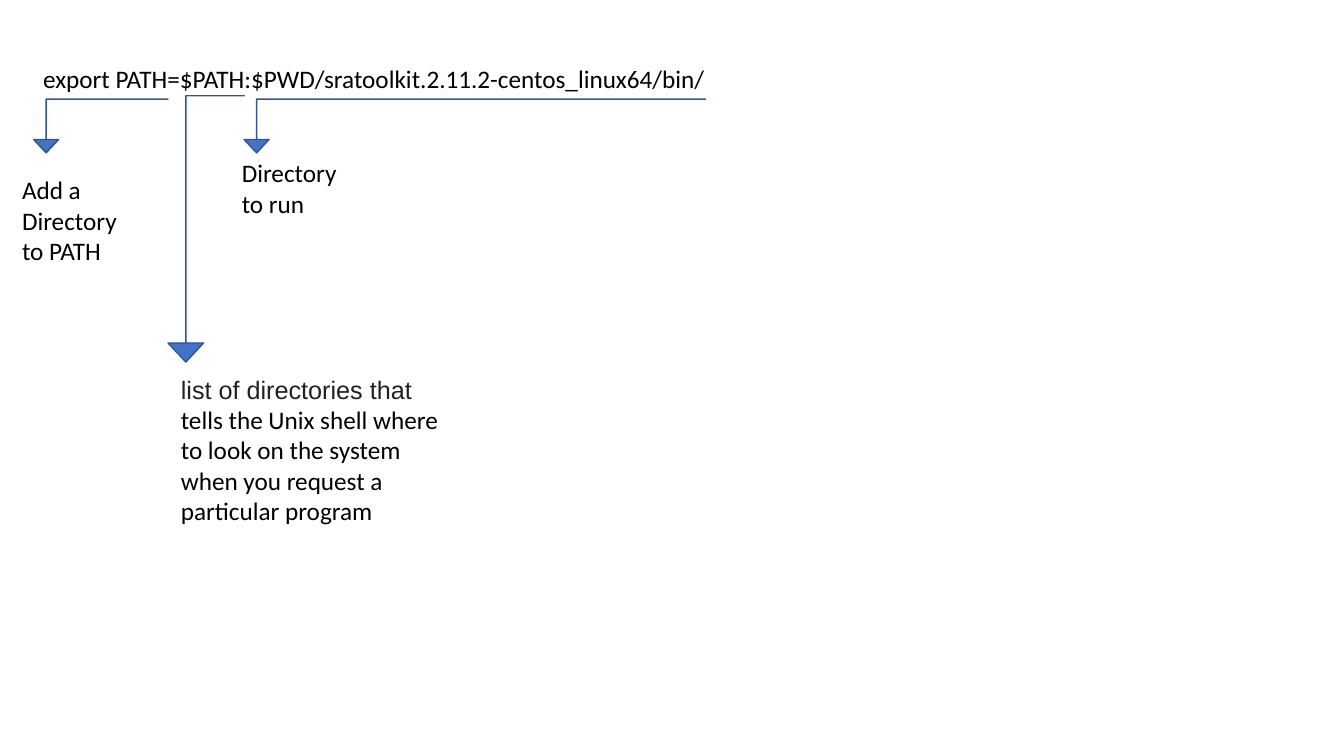
"""Build a slide that explains the parts of a PATH export command."""
import pptx
import pptx.dml.color
import pptx.enum.shapes
import pptx.enum.text
import pptx.util

BLACK = pptx.dml.color.RGBColor(0x00, 0x00, 0x00)
CHARCOAL = pptx.dml.color.RGBColor(0x20, 0x21, 0x24)
BLUE = pptx.dml.color.RGBColor(0x44, 0x72, 0xC4)
DARK_BLUE = pptx.dml.color.RGBColor(0x32, 0x54, 0x91)

presentation = pptx.Presentation()
presentation.slide_width = pptx.util.Inches(13.33)
presentation.slide_height = pptx.util.Inches(7.5)
COLUMN = presentation.slide_width / 160
ROW = presentation.slide_height / 90
slide = presentation.slides.add_slide(presentation.slide_layouts[6])


def place(column, row, columns, rows):
    """Turn grid cells into left, top, width and height."""
    return [round(cells * size) for cells, size in
            zip((column, row, columns, rows), (COLUMN, ROW, COLUMN, ROW))]


export_arrow = (4, 11.8, 16, 6.4)
directory_arrow = (29.05, 11.8, 54.95, 6.4)
search_path_arrow = (20, 11.4, 9.1, 31.7)
for cells in (export_arrow, directory_arrow, search_path_arrow):
    shape = slide.shapes.add_shape(
        pptx.enum.shapes.MSO_SHAPE.BENT_UP_ARROW, *place(*cells))
    shape.rotation = 180
    shape.shadow.inherit = False
    for index, adjustment in enumerate((0, 0.233, 0.25)):
        shape.adjustments[index] = adjustment
    shape.fill.solid()
    shape.fill.fore_color.rgb = BLUE
    shape.line.color.rgb = DARK_BLUE
    shape.line.width = pptx.util.Pt(1)

labels = [
    ((3.95, 7, 123.9, 4.8), [
        ("export PATH=$PATH:$PWD/sratoolkit.2.11.2-centos_linux64/bin/", "Calibri", BLACK)]),
    ((1.44, 20.2, 14.04, 12.12), [
        ("Add a Directory to PATH", "Calibri", BLACK)]),
    ((20.35, 43.95, 34.7, 19.44), [
        ("list of directories that ", "Arial", CHARCOAL),
        ("tells the Unix shell where to look on the system "
         "when you request a particular program", "Calibri", BLACK)]),
    ((27.6, 18.17, 14.04, 8.52), [
        ("Directory to run", "Calibri", BLACK)]),
]
for cells, pieces in labels:
    shape = slide.shapes.add_textbox(*place(*cells))
    shape.text_frame.word_wrap = True
    shape.text_frame.auto_size = pptx.enum.text.MSO_AUTO_SIZE.SHAPE_TO_FIT_TEXT
    paragraph = shape.text_frame.paragraphs[0]
    for text, font_name, color in pieces:
        run = paragraph.add_run()
        run.text = text
        for attribute, value in {"name": font_name, "size": pptx.util.Pt(18)}.items():
            setattr(run.font, attribute, value)
        run.font.color.rgb = color

presentation.save("out.pptx")
